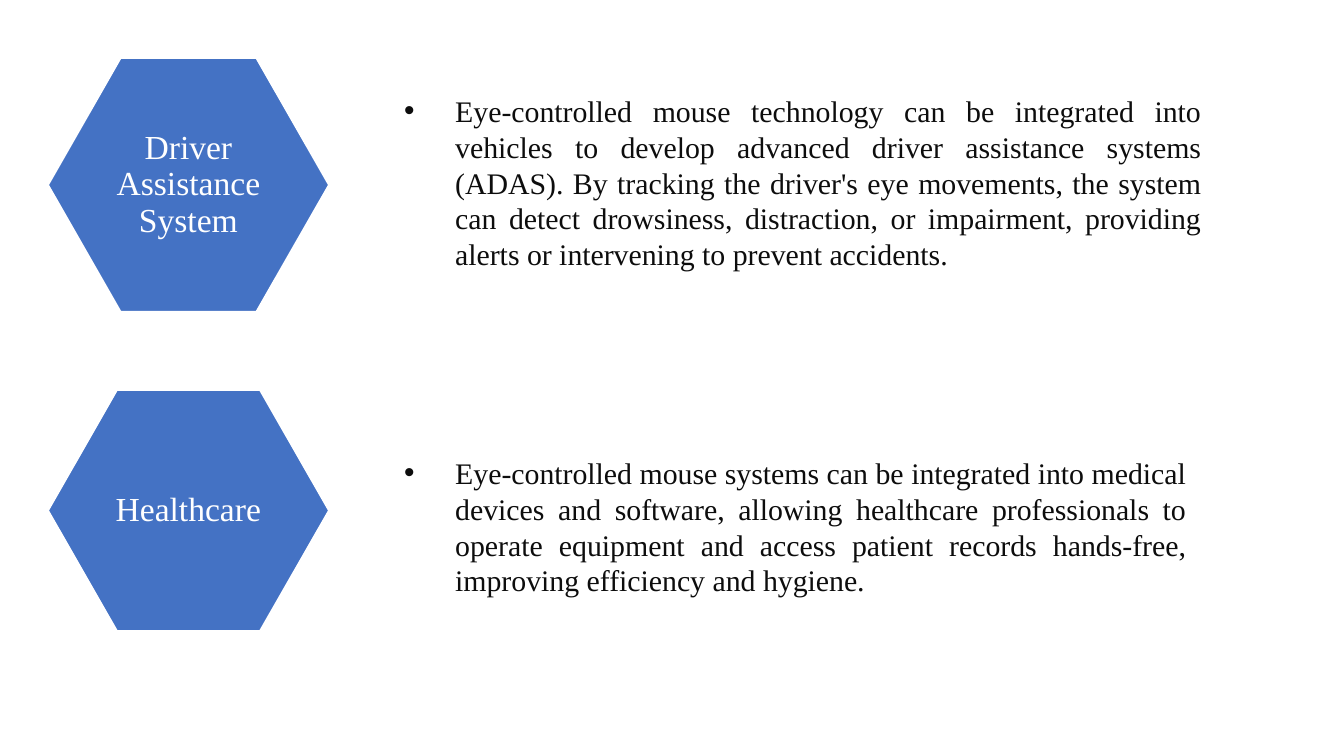
from lxml import etree
from pptx import Presentation
from pptx import util as u
from pptx.dml.color import RGBColor
from pptx.enum import shapes, text
from pptx.oxml.ns import qn

PX = 914400 / 134.4
FONT = "Times New Roman"
COLORS = {"hexagon": "4472C4", "white": "FFFFFF", "body": "0D0D0D"}
HEX_LEFT, HEX_WIDTH = 48, 281
BODY_LEFT, BODY_INDENT = 391, 51

# title, hexagon (top, height), description, description box (top, width, height)
APPLICATIONS = [
    ("Driver Assistance System", (58, 254),
     "Eye-controlled mouse technology can be integrated into vehicles to "
     "develop advanced driver assistance systems (ADAS). By tracking the "
     "driver's eye movements, the system can detect drowsiness, distraction, "
     "or impairment, providing alerts or intervening to prevent accidents.",
     (86, 824, 195)),
    ("Healthcare", (390, 241),
     "Eye-controlled mouse systems can be integrated into medical devices and "
     "software, allowing healthcare professionals to operate equipment and "
     "access patient records hands-free, improving efficiency and hygiene.",
     (448, 809, 199)),
]


def px(n):
    return u.Emu(round(n * PX))


def color(name):
    return RGBColor.from_string(COLORS[name])


def add_text(slide, box, content, size, color_name, align):
    """Add a wrapped one-paragraph text box and return its frame and paragraph."""
    tf = slide.shapes.add_textbox(*map(px, box)).text_frame
    tf.word_wrap = True
    tf.text = content
    p = tf.paragraphs[0]
    p.alignment = align
    font = p.runs[0].font
    font.name, font.size = FONT, u.Pt(size)
    font.color.rgb = color(color_name)
    return tf, p


def add_hexagon(slide, top, height):
    sp = slide.shapes.add_shape(shapes.MSO_SHAPE.HEXAGON, px(HEX_LEFT), px(top),
                                px(HEX_WIDTH), px(height))
    sp.adjustments[0] = 0.286
    sp.shadow.inherit = False
    sp.fill.solid()
    sp.fill.fore_color.rgb = color("hexagon")
    sp.line.color.rgb = color("white")
    sp.line.width = u.Pt(1)


def add_label(slide, top, height, title):
    """Centre a title in the inner rectangle of a hexagon."""
    dx, dy = round(HEX_WIDTH / 6), round(height * 0.163)
    box = (HEX_LEFT + dx, top + dy, HEX_WIDTH - 2 * dx, height - 2 * dy)
    tf, p = add_text(slide, box, title, 18, "white", text.PP_ALIGN.CENTER)
    tf.vertical_anchor = text.MSO_ANCHOR.MIDDLE
    tf.margin_left = tf.margin_right = tf.margin_top = tf.margin_bottom = px(3)
    p.line_spacing = 0.9


def add_bullet(slide, top, width, height, description):
    tf, p = add_text(slide, (BODY_LEFT, top, width, height), description, 16,
                     "body", text.PP_ALIGN.JUSTIFY)
    tf.auto_size = text.MSO_AUTO_SIZE.SHAPE_TO_FIT_TEXT
    pPr = p._p.get_or_add_pPr()
    pPr.set("marL", str(px(BODY_INDENT)))
    pPr.set("indent", str(-px(BODY_INDENT)))
    etree.SubElement(pPr, qn("a:buFont")).set("typeface", "Arial")
    etree.SubElement(pPr, qn("a:buChar")).set("char", "•")


def main():
    prs = Presentation()
    prs.slide_width, prs.slide_height = px(1344), px(756)
    slide = prs.slides.add_slide(prs.slide_layouts[6])
    for title, hexagon, description, body in APPLICATIONS:
        add_hexagon(slide, *hexagon)
        add_label(slide, *hexagon, title)
        add_bullet(slide, *body, description)
    prs.save("out.pptx")


if __name__ == "__main__":
    main()
